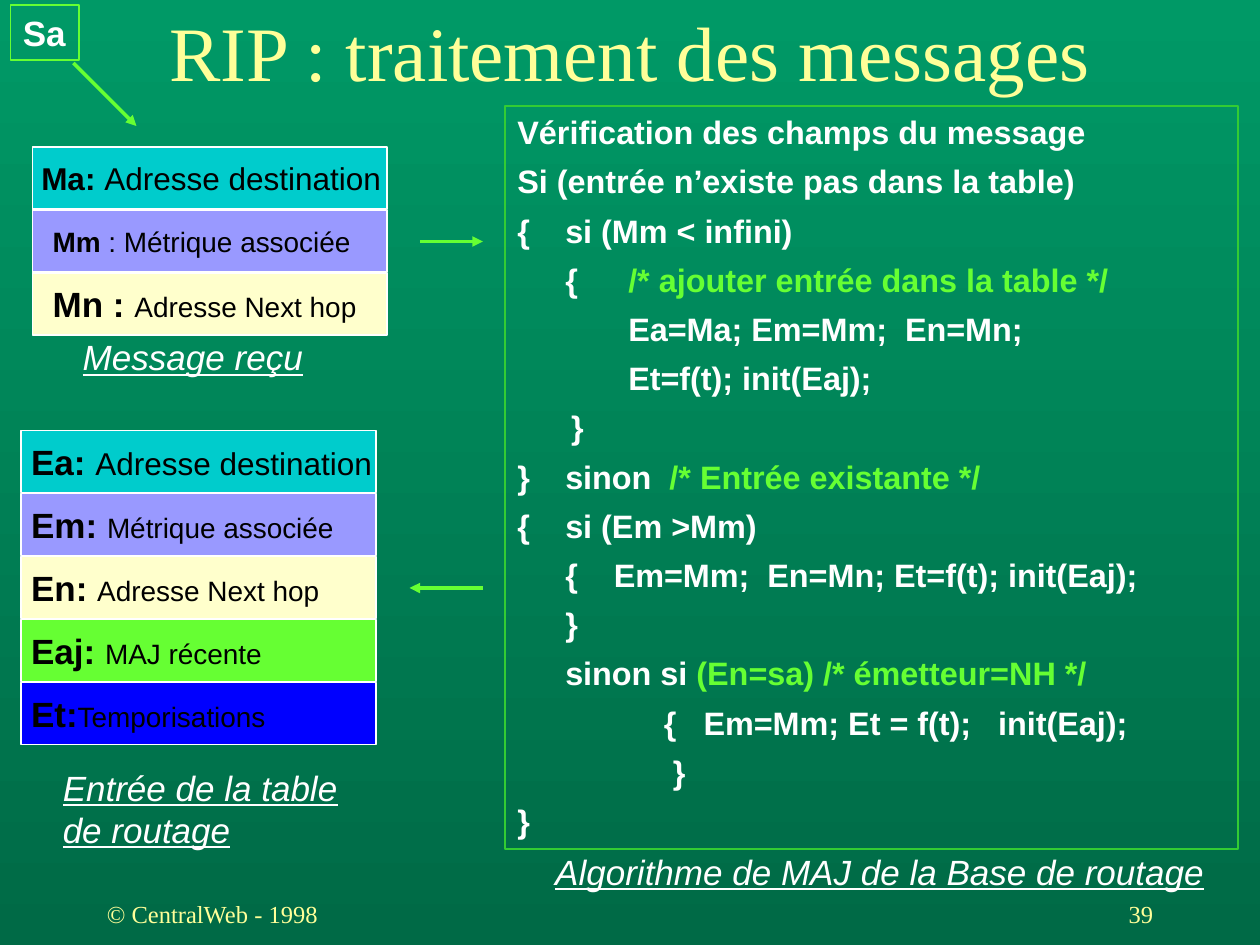
from lxml import etree
from pptx import Presentation
from pptx.dml.color import RGBColor
from pptx.enum.shapes import MSO_CONNECTOR, MSO_SHAPE
from pptx.enum.text import MSO_ANCHOR, PP_ALIGN
from pptx.oxml.ns import qn
from pptx.util import Inches, Pt

RECTANGLE, STRAIGHT = MSO_SHAPE.RECTANGLE, MSO_CONNECTOR.STRAIGHT
TOP, MIDDLE = MSO_ANCHOR.TOP, MSO_ANCHOR.MIDDLE
LEFT, CENTER, RIGHT = PP_ALIGN.LEFT, PP_ALIGN.CENTER, PP_ALIGN.RIGHT

COLUMNS, ROWS = 120, 90
WIDTH, HEIGHT = Inches(10), Inches(7.5)
ROW_PITCH, ROW_HEIGHT = 6, 5.9
SANS, SERIF = "Arial", "Times New Roman"
WHITE, BLACK, YELLOW = "FFFFFF", "000000", "FFFF99"
GREEN, FRAME_GREEN = "66FF33", "33CC33"
CYAN, LILAC, CREAM, BLUE = "00CCCC", "9999FF", "FFFFCC", "0000FF"

# Each row: fill, label, label size, description, description size, left inset
MESSAGE_FIELDS = [
    (CYAN, "Ma: ", 18, "Adresse destination", 18, 0.07),
    (LILAC, "Mm", 16, " : Métrique associée", 16, 0.16),
    (CREAM, "Mn : ", 20, "Adresse Next hop", 16, 0.16),
]
ENTRY_FIELDS = [
    (CYAN, "Ea: ", 20, "Adresse destination", 18, 0.08),
    (LILAC, "Em: ", 20, "Métrique associée", 16, 0.08),
    (CREAM, "En: ", 20, "Adresse Next hop", 16, 0.08),
    (GREEN, "Eaj: ", 20, "MAJ récente", 16, 0.08),
    (BLUE, "Et:", 20, "Temporisations", 16, 0.08),
]
# Each line: code, then an optional highlighted part
ALGORITHM = [
    ("Vérification des champs du message",),
    ("Si (entrée n’existe pas dans la table)",),
    ("{\tsi (Mm < infini)",),
    ("\t{\t", "/* ajouter entrée dans la table */"),
    ("\t\tEa=Ma; Em=Mm;  En=Mn;",),
    ("\t\tEt=f(t); init(Eaj);",),
    ("      }",),
    ("}\tsinon  ", "/* Entrée existante */"),
    ("{\tsi (Em >Mm)",),
    ("\t{    Em=Mm;  En=Mn; Et=f(t); init(Eaj);",),
    ("\t}",),
    ("\tsinon si", " (En=sa) /* émetteur=NH */"),
    ("\t           {   Em=Mm; Et = f(t);   init(Eaj);",),
    ("\t            }",),
    ("}",),
]


def across(columns):
    return round(WIDTH * columns / COLUMNS)


def down(rows):
    return round(HEIGHT * rows / ROWS)


def place(box):
    left, top, width, height = box
    return across(left), down(top), across(width), down(height)


def color(value):
    return RGBColor.from_string(value)


def add_span(para, text, size, font=SANS, ink=WHITE, bold=False, italic=False, underline=False):
    span = para.add_run()
    span.text = text
    span.font.name, span.font.size = font, Pt(size)
    span.font.bold, span.font.italic, span.font.underline = bold, italic, underline
    span.font.color.rgb = color(ink)


def set_frame(shape, anchor=TOP, left=0.1, right=0):
    frame = shape.text_frame
    frame.word_wrap = True
    frame.vertical_anchor = anchor
    frame.margin_left, frame.margin_right = Inches(left), Inches(right)
    frame.margin_top = frame.margin_bottom = Inches(0.05)
    return frame


def add_text(page, box, *lines, anchor=TOP, align=LEFT, right=0, **style):
    frame = set_frame(page.shapes.add_textbox(*place(box)), anchor, right=right)
    for index, line in enumerate(lines):
        para = frame.add_paragraph() if index else frame.paragraphs[0]
        para.alignment = align
        add_span(para, line, **style)


def add_caption(page, box, *lines):
    add_text(page, box, *lines, size=20, italic=True, underline=True)


def add_rectangle(page, box, outline, fill=None):
    shape = page.shapes.add_shape(RECTANGLE, *place(box))
    shape.shadow.inherit = False
    if fill:
        shape.fill.solid()
        shape.fill.fore_color.rgb = color(fill)
    else:
        shape.fill.background()
    shape.line.color.rgb = color(outline)
    shape.line.width = Pt(1)
    return shape


def add_field_stack(page, left, top, width, fields):
    for index, (fill, label, label_size, detail, detail_size, inset) in enumerate(fields):
        box = (left, top + index * ROW_PITCH, width, ROW_HEIGHT)
        frame = set_frame(add_rectangle(page, box, WHITE, fill), MIDDLE, left=inset)
        para = frame.paragraphs[0]
        para.alignment = LEFT
        add_span(para, label, label_size, ink=BLACK, bold=True)
        add_span(para, detail, detail_size, ink=BLACK)


def set_code_indent(para):
    """Hang the first line and put a tab stop at every inch."""
    settings = para._p.get_or_add_pPr()
    settings.set("marL", str(Inches(0.38)))
    settings.set("indent", str(-Inches(0.38)))
    stops = etree.SubElement(settings, qn("a:tabLst"))
    for inch in range(8):
        etree.SubElement(stops, qn("a:tab"), pos=str(Inches(inch)), algn="l")


def add_algorithm(page, box):
    frame = set_frame(add_rectangle(page, box, FRAME_GREEN))
    for index, line in enumerate(ALGORITHM):
        para = frame.add_paragraph() if index else frame.paragraphs[0]
        set_code_indent(para)
        para.alignment = LEFT
        if index:
            para.space_before = Pt(5.9)
        for text, ink in zip(line, (WHITE, GREEN)):
            add_span(para, text, 18.5, ink=ink, bold=True)


def add_arrow(page, start, end):
    arrow = page.shapes.add_connector(
        STRAIGHT, across(start[0]), down(start[1]), across(end[0]), down(end[1]))
    arrow.line.color.rgb = color(GREEN)
    arrow.line.width = Pt(2)
    etree.SubElement(arrow.line._get_or_add_ln(), qn("a:tailEnd"), type="triangle")
    etree.SubElement(arrow._element.spPr, qn("a:effectLst"))


def add_title(page, box, text):
    title = page.shapes.title
    title.left, title.top, title.width, title.height = place(box)
    para = set_frame(title, MIDDLE, right=0.1).paragraphs[0]
    para.alignment = CENTER
    add_span(para, text, 44, font=SERIF, ink=YELLOW)


def add_sender(page, box):
    para = set_frame(add_rectangle(page, box, GREEN)).paragraphs[0]
    para.alignment = LEFT
    add_span(para, "Sa", 20, bold=True)


def add_footer(page, top, height):
    style = dict(anchor=MIDDLE, size=14, font=SERIF, ink=YELLOW)
    add_text(page, (9, top, 25, height), "© CentralWeb - 1998", **style)
    add_text(page, (86, top, 25, height), "39", align=RIGHT, right=0.1, **style)


def paint_background(page):
    fill = page.background.fill
    fill.gradient()
    fill.gradient_angle = 270
    for stop, value in zip(fill.gradient_stops, ("009966", "006A46")):
        stop.color.rgb = color(value)


def main():
    deck = Presentation()
    deck.slide_width, deck.slide_height = WIDTH, HEIGHT
    page = deck.slides.add_slide(deck.slide_layouts[5])
    paint_background(page)
    add_title(page, (0, 0.7, COLUMNS, 8.3), "RIP : traitement des messages")
    add_algorithm(page, (48.1, 10.1, 69.8, 70.8))
    add_field_stack(page, 2, 41, 33.8, ENTRY_FIELDS)
    add_caption(page, (4.8, 72.4, 31, 9.2), "Entrée de la table", "de routage")
    add_field_stack(page, 3.1, 14, 33.8, MESSAGE_FIELDS)
    add_caption(page, (6.7, 31.4, 23.4, 5.2), "Message reçu")
    add_sender(page, (1, 0.5, 6.5, 5.2))
    for start, end in [((7, 6), (13, 12)), ((40, 23), (46, 23)), ((46, 56), (39, 56))]:
        add_arrow(page, start, end)
    add_caption(page, (51.7, 80.4, 64.2, 5.2), "Algorithme de MAJ de la Base de routage")
    add_footer(page, 84, 6)
    deck.save("out.pptx")


if __name__ == "__main__":
    main()
